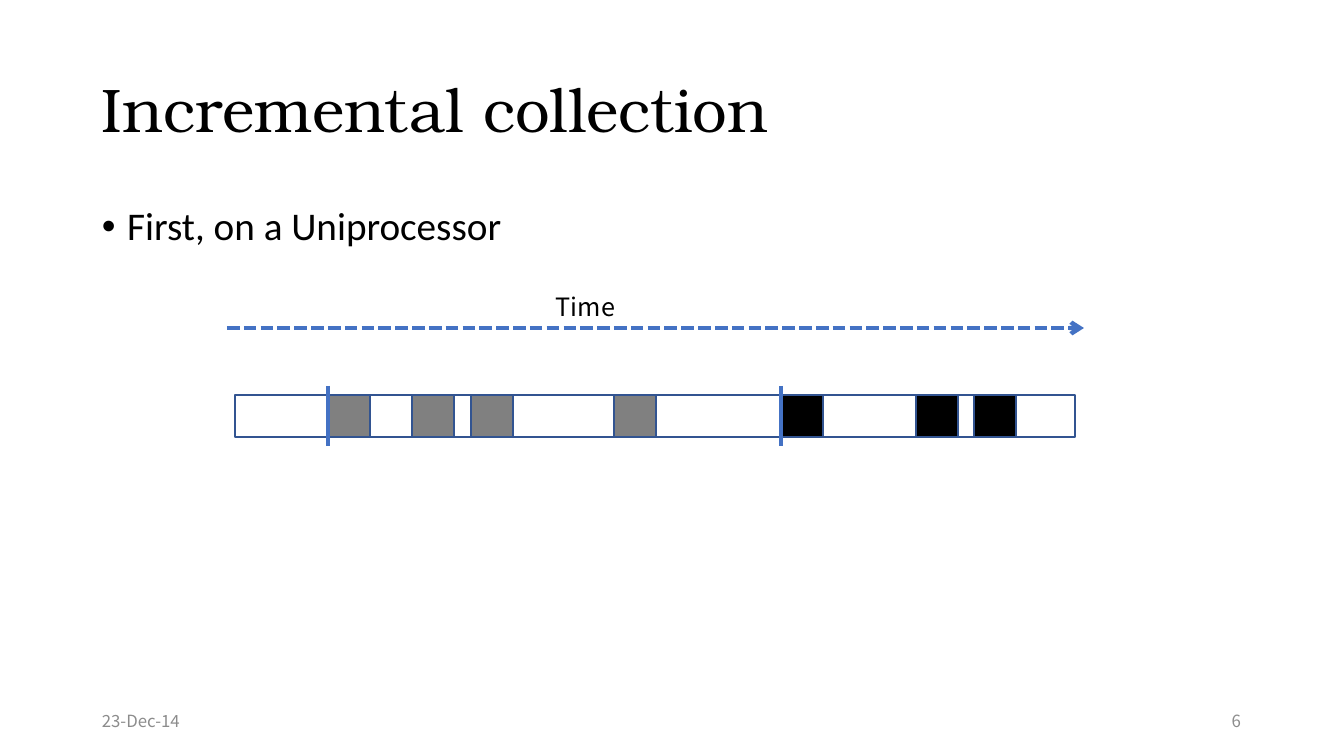
from pptx import Presentation
from pptx import util as u
from pptx.dml.color import RGBColor
from pptx.enum import dml, shapes, text
from pptx.oxml.ns import qn
from lxml import etree

EMU_PER_PIXEL = 914400 / 100.8
BLACK = RGBColor(0x00, 0x00, 0x00)
WHITE = RGBColor(0xFF, 0xFF, 0xFF)
GRAY = RGBColor(0x80, 0x80, 0x80)
FOOTER_GRAY = RGBColor(0x8C, 0x8C, 0x8C)
BLUE = RGBColor(0x44, 0x72, 0xC4)
OUTLINE_BLUE = RGBColor(0x32, 0x54, 0x91)
TITLE_FONT, BODY_FONT, LABEL_FONT = "TeX Gyre Bonum", "Calibri", "Noto Sans CJK SC"

BLOCK_SIZE = 42
MARK_OVERHANG = 9
# Start of each cycle on the bar, its colour, and its blocks from that start
CYCLES = [
    (93, GRAY, (0, 84, 143, 286)),
    (546, BLACK, (0, 135, 193)),
]


def px(*lengths):
    """Turn pixels into EMU."""
    return [round(length * EMU_PER_PIXEL) for length in lengths]


def add_text(slide, box, wording, font, size, color=BLACK,
             anchor=text.MSO_ANCHOR.MIDDLE, align=text.PP_ALIGN.LEFT):
    """Add a one-paragraph text box and return the paragraph."""
    frame = slide.shapes.add_textbox(*px(*box)).text_frame
    frame.word_wrap = True
    frame.vertical_anchor = anchor
    paragraph = frame.paragraphs[0]
    paragraph.text = wording
    paragraph.alignment = align
    paragraph.font.name = font
    paragraph.font.size = u.Pt(size)
    paragraph.font.color.rgb = color
    return paragraph


def add_line(slide, start, end, width):
    """Add a straight blue line without a shadow."""
    line = slide.shapes.add_connector(
        shapes.MSO_CONNECTOR.STRAIGHT, *px(*start, *end))
    line.line.color.rgb = BLUE
    line.line.width = u.Pt(width)
    etree.SubElement(line._element.spPr, qn("a:effectLst"))
    return line


def add_block(slide, box, color):
    """Add an outlined stretch of time."""
    block = slide.shapes.add_shape(shapes.MSO_SHAPE.RECTANGLE, *px(*box))
    block.shadow.inherit = False
    block.fill.solid()
    block.fill.fore_color.rgb = color
    block.line.color.rgb = OUTLINE_BLUE
    block.line.width = u.Pt(1)


def add_heading(slide, box):
    """Add the slide title."""
    title = add_text(slide, box, "Incremental collection", TITLE_FONT, 44)
    title.line_spacing = 0.9


def add_topic(slide, box):
    """Add the bulleted topic line."""
    topic = add_text(slide, box, "First, on a Uniprocessor", BODY_FONT, 28,
                     anchor=text.MSO_ANCHOR.TOP)
    topic.line_spacing = 0.9
    topic.space_before = u.Pt(10)
    properties = topic._p.get_or_add_pPr()
    properties.set("marL", str(u.Inches(0.25)))
    properties.set("indent", str(u.Inches(-0.25)))
    etree.SubElement(properties, qn("a:buFont"), typeface="Arial")
    etree.SubElement(properties, qn("a:buChar"), char="•")
    # The schema wants the bullet ahead of the default run properties
    properties.append(properties.find(qn("a:defRPr")))


def add_time_axis(slide, box):
    """Add the dashed time arrow along the foot of the box, and its label."""
    left, top, width, height = box
    arrow = add_line(slide, (left, top + height), (left + width, top + height), 3)
    arrow.line.dash_style = dml.MSO_LINE.SQUARE_DOT
    etree.SubElement(arrow.line._get_or_add_ln(), qn("a:tailEnd"), type="arrow")
    add_text(slide, (left + 319, top, 218, height), "Time", LABEL_FONT, 18,
             anchor=text.MSO_ANCHOR.TOP)


def add_processor_bar(slide, box):
    """Add the processor's bar, the collector's blocks and the cycle marks."""
    left, top, width, height = box
    add_block(slide, box, WHITE)
    for start, color, offsets in CYCLES:
        for offset in offsets:
            add_block(slide, (left + start + offset, top, BLOCK_SIZE, height), color)
    for start, _, _ in CYCLES:
        add_line(slide, (left + start, top - MARK_OVERHANG),
                 (left + start, top + height + MARK_OVERHANG), 2.5)


def add_footer(slide, box):
    """Add the date at the left and the slide number at the right."""
    left, top, width, height = box
    part = 302
    add_text(slide, (left, top, part, height), "23-Dec-14",
             LABEL_FONT, 12, FOOTER_GRAY)
    add_text(slide, (left + width - part, top, part, height), "6",
             LABEL_FONT, 12, FOOTER_GRAY, align=text.PP_ALIGN.RIGHT)


def main():
    """Build and save the slide."""
    deck = Presentation()
    deck.slide_width, deck.slide_height = px(1344, 756)
    slide = deck.slides.add_slide(deck.slide_layouts[6])
    add_heading(slide, (92, 40, 1159, 146))
    add_topic(slide, (92, 202, 1159, 480))
    add_processor_bar(slide, (235, 395, 840, BLOCK_SIZE))
    add_time_axis(slide, (227, 286, 857, 42))
    add_footer(slide, (92, 701, 1159, 40))
    deck.save("out.pptx")


main()
